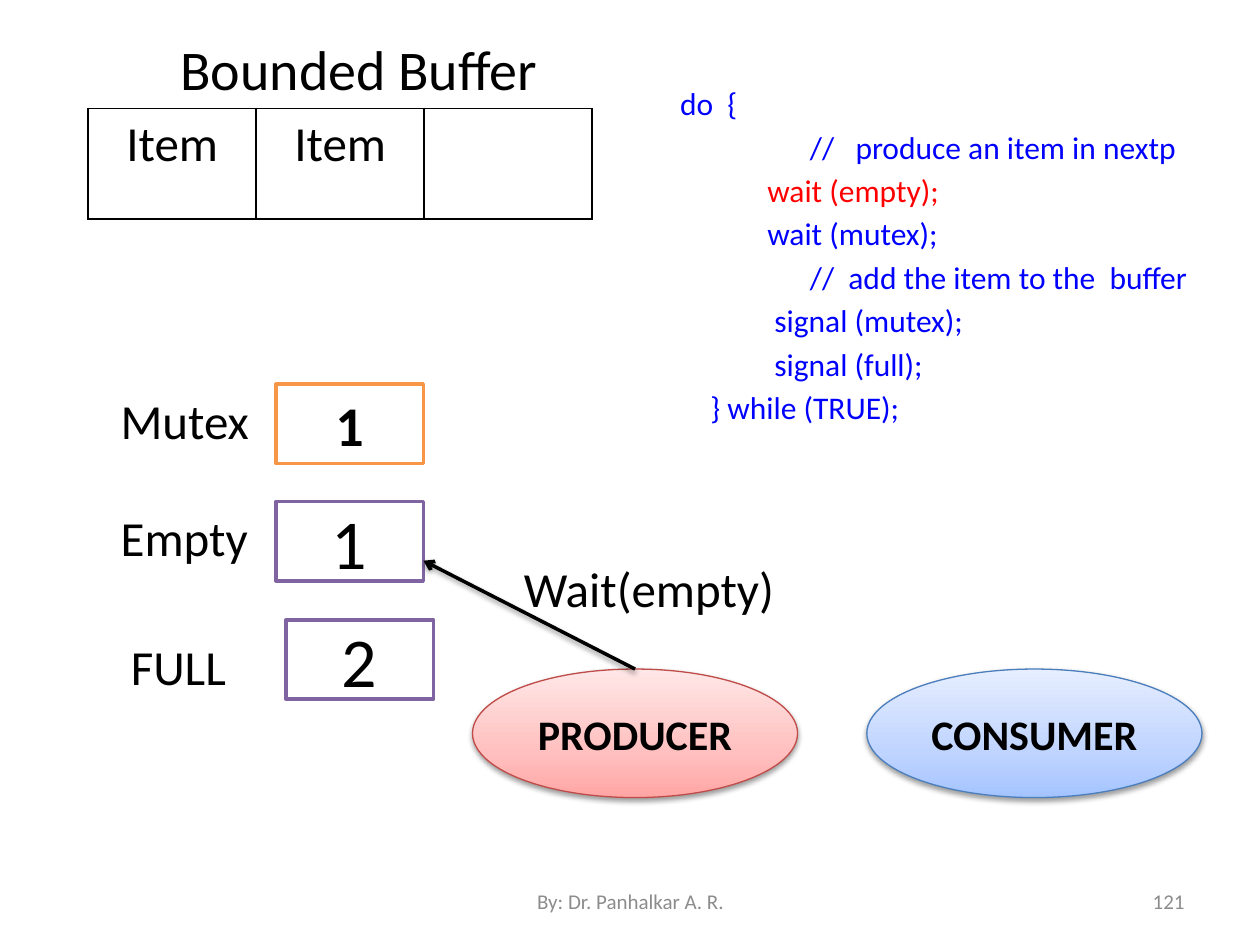
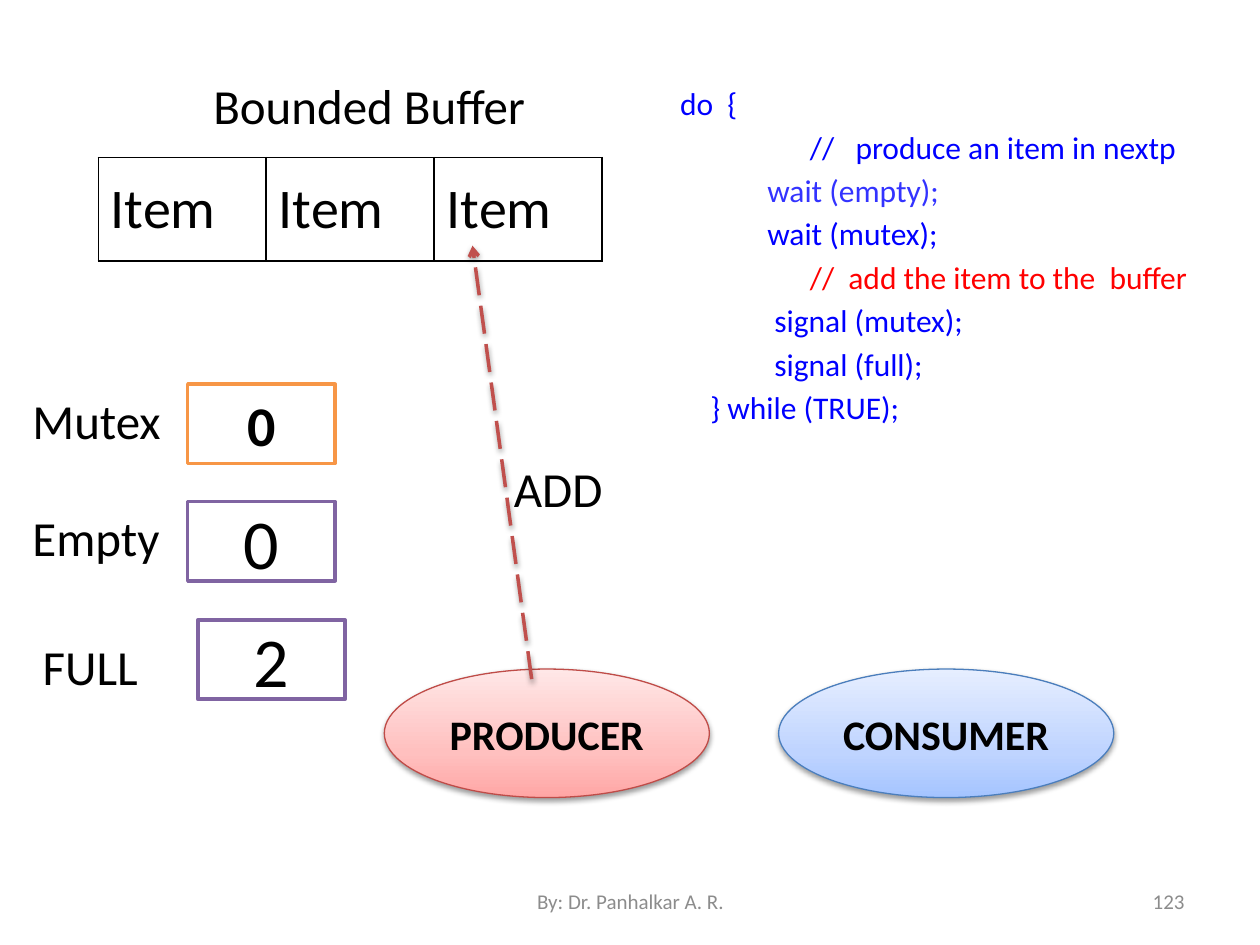
from dataclasses import dataclass

import lxml.etree
import pptx
import pptx.dml.color
import pptx.enum.dml
import pptx.enum.shapes
import pptx.enum.text
import pptx.oxml.ns
import pptx.util

Inches = pptx.util.Inches
Pt = pptx.util.Pt
Align = pptx.enum.text.PP_ALIGN
Anchor = pptx.enum.text.MSO_ANCHOR
Preset = pptx.enum.shapes.MSO_SHAPE
qn = pptx.oxml.ns.qn

FONT = "Calibri"
BLACK, WHITE, GRAY = "000000", "FFFFFF", "8C8C8C"
BLUE, PALE_BLUE, RED = "0000FF", "3333FF", "FF0000"
ORANGE, PURPLE, BRICK = "F79646", "8064A2", "C0504D"

WAIT_EMPTY = "wait (empty);"
ADD_ITEM = "//  add the item to the  buffer"
CODE_LINES = [
    ("\t", "do  {"),
    (" " * 25, "//   produce an item in nextp"),
    (" " * 19, WAIT_EMPTY),
    (" " * 19, "wait (mutex);"),
    (" " * 25, ADD_ITEM),
    (" " * 20, "signal (mutex);"),
    (" " * 20, "signal (full);"),
    (" " * 11, "} while (TRUE);"),
]


@dataclass(frozen=True)
class Box:
    left: float
    top: float
    width: float
    height: float

    def lengths(self) -> list:
        return [Inches(v) for v in (self.left, self.top, self.width, self.height)]


@dataclass(frozen=True)
class Semaphore:
    name: str
    label_top: float
    box_top: float
    indent: float
    line: str
    size: int
    bold: bool = False


@dataclass(frozen=True)
class Process:
    name: str
    left: float
    width: float
    line: str
    stops: tuple


@dataclass(frozen=True)
class Arrow:
    start: tuple
    end: tuple
    color: str
    dashed: bool
    label: str
    label_box: Box


@dataclass(frozen=True)
class BufferState:
    """What differs between the slides; left shifts the semaphores and processes."""
    number: str
    left: float
    title_box: Box
    title_size: int
    table_box: Box
    items: tuple
    item_size: int
    item_align: Align
    item_anchor: Anchor
    values: tuple
    code_colors: dict
    arrow: Arrow


SEMAPHORES = [
    Semaphore("Mutex", 3.05, 3.05, 0, ORANGE, 32, True),
    Semaphore("Empty", 3.98, 3.98, 0, PURPLE, 40),
    Semaphore("FULL", 5.0, 4.92, 0.08, PURPLE, 40),
]
PROCESSES = [
    Process("PRODUCER", 2.89, 2.58, "BF4C48",
            ((0, "FFA6A5"), (35, "FFC0BF"), (100, "FFE7E7"))),
    Process("CONSUMER", 6.02, 2.66, "4B7EBC",
            ((0, "A4C4FF"), (35, "BFD4FF"), (100, "E6EEFF"))),
]
STATES = [
    BufferState(
        "121", 0.86, Box(0.78, 0.22, 4.14, 0.64), 32,
        Box(0.7, 0.86, 4, 0.88), ("Item", "Item", ""), 28, Align.CENTER, Anchor.TOP,
        ("1", "1", "2"), {WAIT_EMPTY: RED},
        Arrow((5.04, 5.31), (3.36, 4.45), BLACK, False,
              "Wait(empty)", Box(4.06, 4.38, 2.42, 0.57))),
    BufferState(
        "123", 0.16, Box(0.86, 0.55, 4.14, 0.57), 28,
        Box(0.78, 1.25, 4, 0.82), ("Item", "Item", "Item"), 32, Align.LEFT, Anchor.MIDDLE,
        ("0", "0", "2"), {WAIT_EMPTY: PALE_BLUE, ADD_ITEM: RED},
        Arrow((4.22, 5.39), (3.75, 1.95), BRICK, True,
              "ADD", Box(3.98, 3.59, 1.41, 0.57))),
]


def rgb(color: str) -> pptx.dml.color.RGBColor:
    return pptx.dml.color.RGBColor.from_string(color)


def add_run(paragraph, text: str, size: int, color: str = BLACK, bold: bool = False) -> None:
    run = paragraph.add_run()
    run.text = text
    run.font.name = FONT
    run.font.size = Pt(size)
    run.font.bold = bold
    run.font.color.rgb = rgb(color)


def write(frame, text: str, size: int, align: Align = Align.LEFT,
          anchor: Anchor = Anchor.TOP, color: str = BLACK, bold: bool = False) -> None:
    """Fill a one-paragraph text frame."""
    frame.word_wrap = True
    frame.vertical_anchor = anchor
    paragraph = frame.paragraphs[0]
    paragraph.alignment = align
    add_run(paragraph, text, size, color, bold)


def add_label(slide, box: Box, text: str, size: int = 28, **style) -> None:
    write(slide.shapes.add_textbox(*box.lengths()).text_frame, text, size, **style)


def add_element(parent, tag: str, **attributes: str):
    return lxml.etree.SubElement(parent, qn(tag), attributes)


def add_shadow(properties) -> None:
    """Append a soft drop shadow to shape properties whose line is already set."""
    effects = add_element(properties, "a:effectLst")
    shadow = add_element(effects, "a:outerShdw", blurRad="40000", dist="20000",
                         dir="5400000", rotWithShape="0")
    add_element(add_element(shadow, "a:srgbClr", val=BLACK), "a:alpha", val="38000")


def add_title(slide, state: BufferState) -> None:
    title = slide.shapes.title
    title.left, title.top, title.width, title.height = state.title_box.lengths()
    write(title.text_frame, "Bounded Buffer", state.title_size, Align.CENTER)
    title.text_frame.auto_size = pptx.enum.text.MSO_AUTO_SIZE.NONE


def add_borders(cell) -> None:
    properties = cell._tc.get_or_add_tcPr()
    for side in ("a:lnL", "a:lnR", "a:lnT", "a:lnB"):
        line = add_element(properties, side, w=str(Pt(1)))
        add_element(add_element(line, "a:solidFill"), "a:srgbClr", val=BLACK)


def add_buffer(slide, state: BufferState) -> None:
    frame = slide.shapes.add_table(1, len(state.items), *state.table_box.lengths())
    table = frame.table
    table.first_row = table.horz_banding = False
    for cell, item in zip(table.iter_cells(), state.items):
        add_borders(cell)
        cell.fill.background()
        cell.vertical_anchor = state.item_anchor
        if item:
            paragraph = cell.text_frame.paragraphs[0]
            paragraph.alignment = state.item_align
            add_run(paragraph, item, state.item_size)


def add_semaphore(slide, semaphore: Semaphore, value: str, left: float) -> None:
    left += semaphore.indent
    add_label(slide, Box(left, semaphore.label_top, 1.33, 0.57), semaphore.name)
    box = Box(left + 1.33, semaphore.box_top, 1.17, 0.63)
    shape = slide.shapes.add_shape(Preset.RECTANGLE, *box.lengths())
    shape.shadow.inherit = False
    shape.fill.solid()
    shape.fill.fore_color.rgb = rgb(WHITE)
    shape.line.color.rgb = rgb(semaphore.line)
    shape.line.width = Pt(2)
    write(shape.text_frame, value, semaphore.size, Align.CENTER, Anchor.MIDDLE,
          bold=semaphore.bold)


def add_process(slide, process: Process, left: float) -> None:
    box = Box(left + process.left, 5.31, process.width, 1.02)
    shape = slide.shapes.add_shape(Preset.OVAL, *box.lengths())
    shape.fill.gradient()
    shape.fill.gradient_angle = 90
    properties = shape._element.spPr
    stops = properties.find(qn("a:gradFill")).find(qn("a:gsLst"))
    for stop in list(stops):
        stops.remove(stop)
    for position, color in process.stops:
        stop = add_element(stops, "a:gs", pos=str(position * 1000))
        add_element(stop, "a:srgbClr", val=color)
    shape.line.color.rgb = rgb(process.line)
    shape.line.width = Pt(0.75)
    add_shadow(properties)
    write(shape.text_frame, process.name, 24, Align.CENTER, Anchor.MIDDLE, bold=True)


def add_arrow(slide, arrow: Arrow) -> None:
    ends = [Inches(v) for v in arrow.start + arrow.end]
    connector = slide.shapes.add_connector(pptx.enum.shapes.MSO_CONNECTOR.STRAIGHT, *ends)
    connector.line.color.rgb = rgb(arrow.color)
    connector.line.width = Pt(2)
    if arrow.dashed:
        connector.line.dash_style = pptx.enum.dml.MSO_LINE.LONG_DASH
    properties = connector._element.spPr
    add_element(properties.find(qn("a:ln")), "a:tailEnd", type="arrow")
    add_shadow(properties)
    add_label(slide, arrow.label_box, arrow.label)


def add_code(slide, colors: dict) -> None:
    frame = slide.shapes.add_textbox(*Box(4.92, 0.62, 4.84, 3.44).lengths()).text_frame
    frame.word_wrap = True
    for index, (indent, code) in enumerate(CODE_LINES):
        paragraph = frame.add_paragraph() if index else frame.paragraphs[0]
        properties = paragraph._p.get_or_add_pPr()
        properties.set("marL", str(Inches(0.38)))
        properties.set("indent", str(Inches(-0.38)))
        if index:
            paragraph.space_before = Pt(3.2)
        add_run(paragraph, indent + code, 18, colors.get(code, BLUE))


def add_footer(slide, number: str) -> None:
    style = dict(size=12, anchor=Anchor.MIDDLE, color=GRAY)
    add_label(slide, Box(7.17, 6.95, 2.33, 0.4), number, align=Align.RIGHT, **style)
    add_label(slide, Box(3.42, 6.95, 3.17, 0.4), "By: Dr. Panhalkar A. R.",
              align=Align.CENTER, **style)


def add_state_slide(presentation, state: BufferState) -> None:
    slide = presentation.slides.add_slide(presentation.slide_layouts.get_by_name("Title Only"))
    add_title(slide, state)
    add_buffer(slide, state)
    for semaphore, value in zip(SEMAPHORES, state.values):
        add_semaphore(slide, semaphore, value, state.left)
    for process in PROCESSES:
        add_process(slide, process, state.left)
    add_arrow(slide, state.arrow)
    add_code(slide, state.code_colors)
    add_footer(slide, state.number)


def main() -> None:
    presentation = pptx.Presentation()
    presentation.slide_width = Inches(10)
    presentation.slide_height = Inches(7.5)
    for state in STATES:
        add_state_slide(presentation, state)
    presentation.save("out.pptx")


if __name__ == "__main__":
    main()
